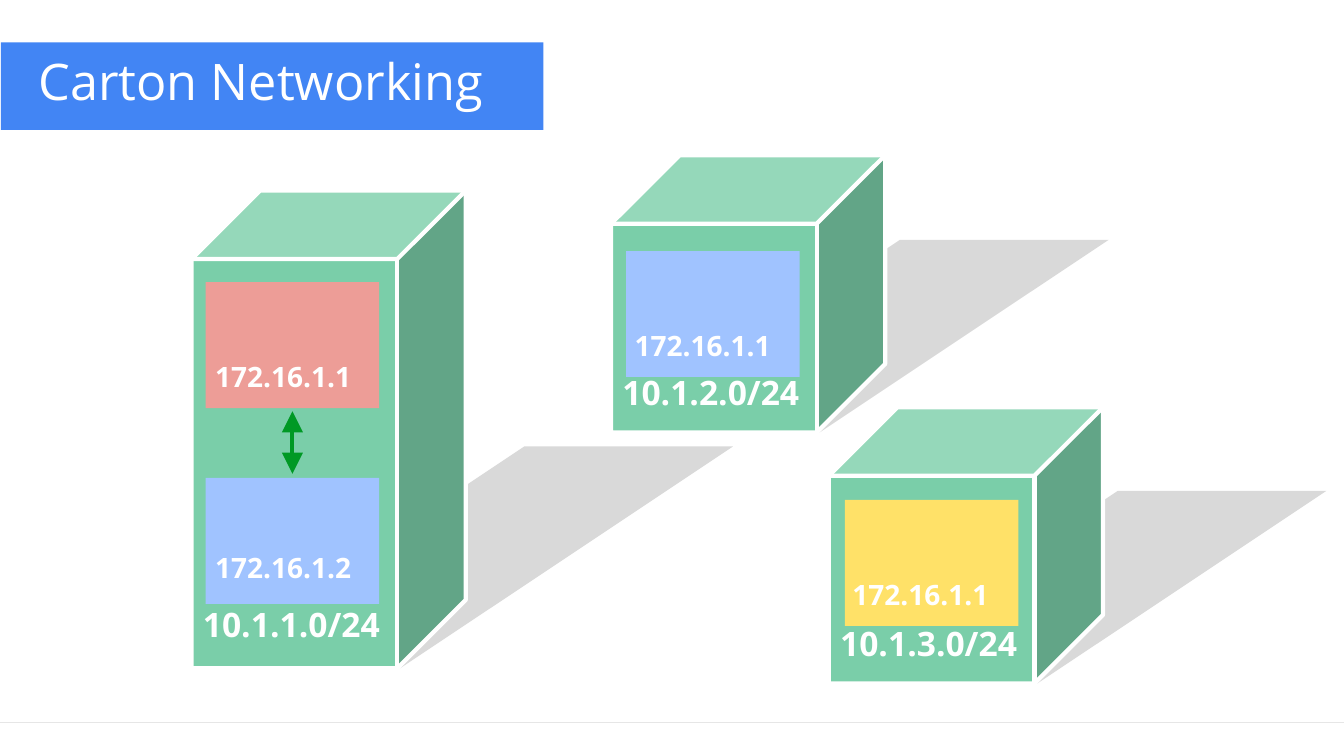
from lxml import etree
from pptx import Presentation
from pptx.dml.color import RGBColor as RGB
from pptx.enum.shapes import MSO_CONNECTOR as CONN, MSO_SHAPE as SHAPE
from pptx.enum.text import PP_ALIGN as ALIGN
from pptx.oxml.ns import qn
from pptx.util import Inches, Pt

COLORS = {
    "white": "FFFFFF", "title": "4285F4", "rule": "E6E6E6", "shadow": "D9D9D9",
    "front": "7ACEA9", "side": "62A587", "top": "95D8BA", "arrow": "009925",
    "red": "ED9D97", "blue": "A0C3FF", "yellow": "FFE168",
}
FONT = "Open Sans"
FRONT_W, DEPTH = 2.04, 0.68       # front face width, offset of the back face
PANEL_W, PANEL_H = 1.72, 1.25
LABEL_DY, LABEL_H = 0.77, 0.38    # address line below the panel top
SUBNET_DY = 0.55                  # subnet line above the host bottom


def rgb(name):
    return RGB.from_string(COLORS[name])


class Deck:
    def __init__(self, prs):
        self.s = prs.slides.add_slide(prs.slide_layouts[6])

    def paint(self, sp, fill=None, line=None):
        sp.shadow.inherit = False
        if fill:
            sp.fill.solid()
            sp.fill.fore_color.rgb = rgb(fill)
        else:
            sp.fill.background()
        if line:
            sp.line.color.rgb = rgb(line)
            sp.line.width = Pt(3)
        else:
            sp.line.fill.background()

    def rect(self, x, y, w, h, fill):
        sp = self.s.shapes.add_shape(SHAPE.RECTANGLE, *map(Inches, (x, y, w, h)))
        self.paint(sp, fill)

    def poly(self, points, fill=None, line=None, close=True):
        pts = [(Inches(x), Inches(y)) for x, y in points]
        fb = self.s.shapes.build_freeform(*pts[0])
        fb.add_line_segments(pts[1:], close=close)
        self.paint(fb.convert_to_shape(), fill, line)

    def line(self, x1, y1, x2, y2, color, width=3, arrows=False):
        c = self.s.shapes.add_connector(CONN.STRAIGHT, *map(Inches, (x1, y1, x2, y2)))
        c.line.color.rgb = rgb(color)
        c.line.width = Pt(width)
        if arrows:
            ln = c.line._get_or_add_ln()
            for end in ("a:headEnd", "a:tailEnd"):
                etree.SubElement(ln, qn(end), type="triangle", w="lg", len="lg")
        etree.SubElement(c._element.spPr, qn("a:effectLst"))

    def text(self, x, y, w, h, paragraphs):
        """Each paragraph is (text, font values, paragraph values, right margin)."""
        tf = self.s.shapes.add_textbox(*map(Inches, (x, y, w, h))).text_frame
        tf.word_wrap = True
        for side in ("left", "top", "right", "bottom"):
            setattr(tf, f"margin_{side}", 0)
        for i, (text, font, layout, margin) in enumerate(paragraphs):
            p = tf.add_paragraph() if i else tf.paragraphs[0]
            p._p.get_or_add_pPr().set("marR", str(Inches(margin)))
            for key, value in layout.items():
                setattr(p, key, value)
            r = p.add_run()
            r.text = text
            for key, value in {"name": FONT, **font}.items():
                setattr(r.font, key, value)
            r.font.color.rgb = rgb("white")

    def host(self, x, top, bottom, rise, subnet, panel_x, panels):
        # Corners of the box
        y, right, back = top + DEPTH, x + FRONT_W, x + FRONT_W + DEPTH
        tl, tr, br, bl = (x, y), (right, y), (right, bottom), (x, bottom)
        btl, btr, bbr = (x + DEPTH, top), (back, top), (back, bottom - DEPTH)
        # Ground shadow, then faces
        run, base = 1.5 * rise, x + 2.07
        self.poly([bl, (x + run, bottom - rise), (base + run, bottom - rise),
                   (base, bottom)], "shadow")
        self.poly([tl, tr, br, bl], "front")
        self.poly([tr, btr, bbr, br], "side")
        self.poly([tl, btl, btr, tr], "top")
        # White edges
        self.poly([tl, btl, btr, bbr, br, bl], line="white")
        self.poly([tl, tr, btr], line="white", close=False)
        self.line(*tr, *br, "white")
        # Containers and their addresses
        rows, end = [], None
        for address, py, color in panels:
            self.rect(panel_x, py, PANEL_W, PANEL_H, color)
            label_y = py + LABEL_DY
            gap = Inches(label_y - end) if end else 0
            rows.append((address, {"size": Pt(20), "bold": True},
                         {"alignment": ALIGN.CENTER, "space_before": gap}, 0.22))
            end = label_y + LABEL_H
        gap = Inches(bottom - SUBNET_DY - end)
        rows.append((subnet, {"size": Pt(24), "bold": True},
                     {"alignment": ALIGN.CENTER, "space_before": gap}, 0.06))
        text_y = panels[0][1] + LABEL_DY
        self.text(x, text_y, FRONT_W, bottom - text_y, rows)


def main():
    prs = Presentation()
    prs.slide_width, prs.slide_height = Inches(13.33), Inches(7.5)
    d = Deck(prs)

    # Footer rule
    d.line(0, 7.17, 13.33, 7.17, "rule", 0.75)

    # Title
    d.rect(0.01, 0.42, 5.38, 0.87, "title")
    d.text(0.38, 0.5, 4.82, 0.68, [("Carton Networking", {"size": Pt(36)}, {}, 0)])

    # Hosts
    d.host(1.9, 1.89, 6.63, 2.2, "10.1.1.0/24", 2.04,
           [("172.16.1.1", 2.8, "red"), ("172.16.1.2", 4.74, "blue")])
    d.host(6.06, 1.54, 4.29, 1.91, "10.1.2.0/24", 6.21,
           [("172.16.1.1", 2.49, "blue")])
    d.host(8.22, 4.04, 6.78, 1.91, "10.1.3.0/24", 8.38,
           [("172.16.1.1", 4.96, "yellow")])

    # Traffic between containers on the first host
    d.line(2.9, 4.08, 2.9, 4.7, "arrow", arrows=True)

    prs.save("out.pptx")


if __name__ == "__main__":
    main()
